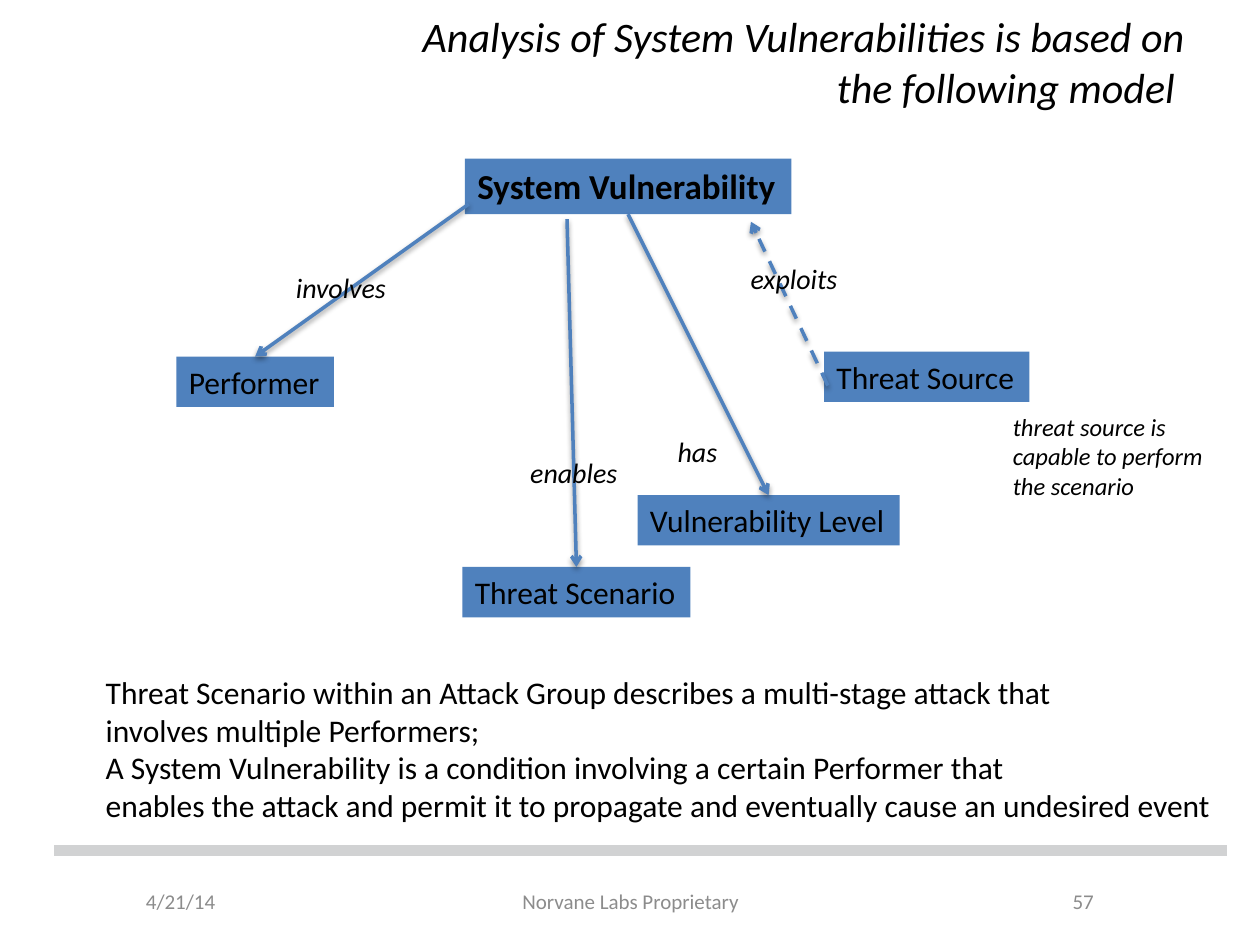
from dataclasses import dataclass
from typing import Optional

import pptx
import pptx.dml.color
import pptx.enum.dml
import pptx.enum.shapes
import pptx.enum.text
import pptx.oxml
import pptx.oxml.ns
import pptx.util

COLORS = {"ink": "000000", "node": "4F81BD", "rule": "D1D2D3", "footer": "8C8C8C"}
FONT = "Calibri"
COLUMNS, ROWS = 100, 75
CELL = pptx.util.Inches(10) // COLUMNS
TOP, BOTTOM = 0, 2
ALIGN = pptx.enum.text.PP_ALIGN
ANCHOR = pptx.enum.text.MSO_ANCHOR
FIT = pptx.enum.text.MSO_AUTO_SIZE
SHADOW = (
    '<a:outerShdw blurRad="39400" dist="20300" dir="5400000" rotWithShape="0">'
    '<a:srgbClr val="000000"><a:alpha val="38000"/></a:srgbClr></a:outerShdw>'
)


@dataclass
class Area:
    """A place on the slide in grid columns and rows."""
    column: float
    row: float
    columns: float
    rows: float

    def lengths(self) -> list[int]:
        return [grid(n) for n in (self.column, self.row, self.columns, self.rows)]


@dataclass
class Style:
    size: float
    bold: bool = False
    italic: bool = False
    color: str = "ink"
    align: ALIGN = ALIGN.LEFT
    anchor: ANCHOR = ANCHOR.TOP
    wrap: bool = False
    fit: FIT = FIT.SHAPE_TO_FIT_TEXT


@dataclass
class Label:
    text: str
    area: Area
    style: Style


@dataclass
class Link:
    start: tuple[float, float]
    end: tuple[float, float]
    source: Optional[str] = None
    target: Optional[str] = None
    dashed: bool = False


NODE = Style(18)
VERB = Style(16, italic=True)


def footer_style(align: ALIGN) -> Style:
    return Style(12, color="footer", align=align, anchor=ANCHOR.MIDDLE,
                 wrap=True, fit=FIT.NONE)


TITLE = Label(
    "Analysis of System Vulnerabilities is based on\n the following model ",
    Area(5, 2.1, 90, 5.5),
    Style(24, italic=True, align=ALIGN.RIGHT, anchor=ANCHOR.MIDDLE, wrap=True, fit=FIT.NONE),
)
NODES = [
    Label("System Vulnerability", Area(36.9, 12.6, 25.9, 4.4), Style(20, bold=True)),
    Label("Performer", Area(14, 28.3, 12.5, 4), NODE),
    Label("Threat Scenario", Area(36.7, 45, 18.1, 4), NODE),
    Label("Threat Source", Area(65.4, 27.9, 16.3, 4), NODE),
    Label("Vulnerability Level", Area(50.6, 39.3, 20.8, 4), NODE),
]
LINKS = [
    Link((37.2, 16.2), (20.3, 28.3), target="Performer"),
    Link((65.7, 30.6), (59.6, 17.6), dashed=True),
    Link((45, 17.4), (45.7, 45.4), target="Threat Scenario"),
    Link((49.6, 17.1), (61, 39.3), "System Vulnerability", "Vulnerability Level"),
]
LABELS = [
    Label("has", Area(52.8, 34, 5.7, 3.7), VERB),
    Label("enables", Area(41.1, 35.7, 9.5, 3.7), VERB),
    Label("involves", Area(22.5, 21, 9.8, 3.7), VERB),
    Label("exploits", Area(58.6, 20.3, 9.5, 3.7), VERB),
    Label("threat source is\vcapable to perform\vthe scenario",
          Area(79.4, 32.2, 17.6, 8.1), Style(14, italic=True, wrap=True)),
    Label("Threat Scenario within an Attack Group describes a multi-stage attack that\n"
          "involves multiple Performers;\n"
          "A System Vulnerability is a condition involving a certain Performer that\n"
          "enables the attack and permit it to propagate and eventually cause an undesired event",
          Area(7.4, 52.9, 89.8, 13.1), NODE),
    Label("4/21/14", Area(10.6, 69.5, 17.7, 4), footer_style(ALIGN.LEFT)),
    Label("Norvane Labs Proprietary", Area(34.2, 69.5, 31.7, 4), footer_style(ALIGN.CENTER)),
    Label("57", Area(71.7, 69.5, 16.1, 4), footer_style(ALIGN.RIGHT)),
]


def grid(count: float) -> int:
    return round(count * CELL)


def color(name: str) -> pptx.dml.color.RGBColor:
    return pptx.dml.color.RGBColor.from_string(COLORS[name])


def write(shape, label: Label) -> None:
    style, frame = label.style, shape.text_frame
    frame.text = label.text
    frame.word_wrap = style.wrap
    frame.auto_size = style.fit
    frame.vertical_anchor = style.anchor
    for para in frame.paragraphs:
        para.alignment = style.align
        for span in para.runs:
            span.font.name = FONT
            span.font.size = pptx.util.Pt(style.size)
            span.font.bold, span.font.italic = style.bold, style.italic
            span.font.color.rgb = color(style.color)


def add_title(page, label: Label) -> None:
    box = page.shapes.title
    box.left, box.top, box.width, box.height = label.area.lengths()
    write(box, Label(label.text.replace("\n", "\v"), label.area, label.style))


def add_node(page, label: Label):
    box = page.shapes.add_shape(pptx.enum.shapes.MSO_SHAPE.RECTANGLE, *label.area.lengths())
    box.shadow.inherit = False
    box.fill.solid()
    box.fill.fore_color.rgb = color("node")
    box.line.fill.background()
    write(box, label)
    return box


def add_line(page, start: tuple[float, float], end: tuple[float, float],
             paint: str, width: float):
    line = page.shapes.add_connector(pptx.enum.shapes.MSO_CONNECTOR.STRAIGHT,
                                     *(grid(n) for n in start + end))
    line.line.color.rgb = color(paint)
    line.line.width = pptx.util.Pt(width)
    return line


def set_effects(line, effects: str = "") -> None:
    namespace = pptx.oxml.ns.nsdecls("a")
    line._element.spPr.append(
        pptx.oxml.parse_xml(f"<a:effectLst {namespace}>{effects}</a:effectLst>"))


def add_link(page, link: Link, boxes: dict) -> None:
    arrow = add_line(page, link.start, link.end, "node", 2)
    if link.source:
        arrow.begin_connect(boxes[link.source], BOTTOM)
    if link.target:
        arrow.end_connect(boxes[link.target], TOP)
    if link.dashed:
        arrow.line.dash_style = pptx.enum.dml.MSO_LINE.DASH
    namespace = pptx.oxml.ns.nsdecls("a")
    arrow.line._get_or_add_ln().append(
        pptx.oxml.parse_xml(f'<a:tailEnd {namespace} type="arrow"/>'))
    set_effects(arrow, SHADOW)


def main() -> None:
    deck = pptx.Presentation()
    deck.slide_width, deck.slide_height = grid(COLUMNS), grid(ROWS)
    page = deck.slides.add_slide(deck.slide_layouts.get_by_name("Title Only"))
    set_effects(add_line(page, (4.3, 67.5), (97.4, 67.5), "rule", 6))
    add_title(page, TITLE)
    boxes = {node.text: add_node(page, node) for node in NODES}
    for link in LINKS:
        add_link(page, link, boxes)
    for label in LABELS:
        write(page.shapes.add_textbox(*label.area.lengths()), label)
    deck.save("out.pptx")


if __name__ == "__main__":
    main()
